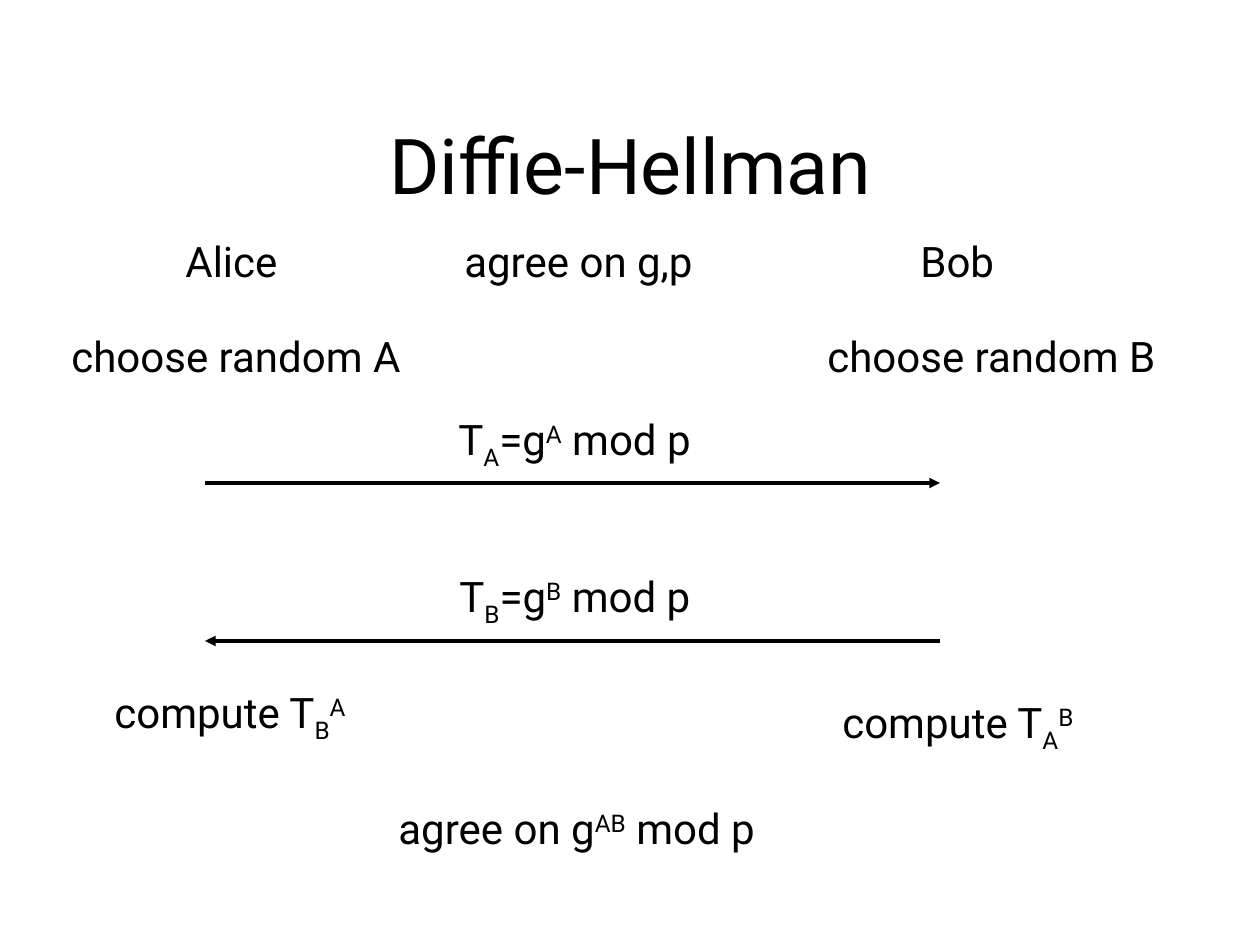
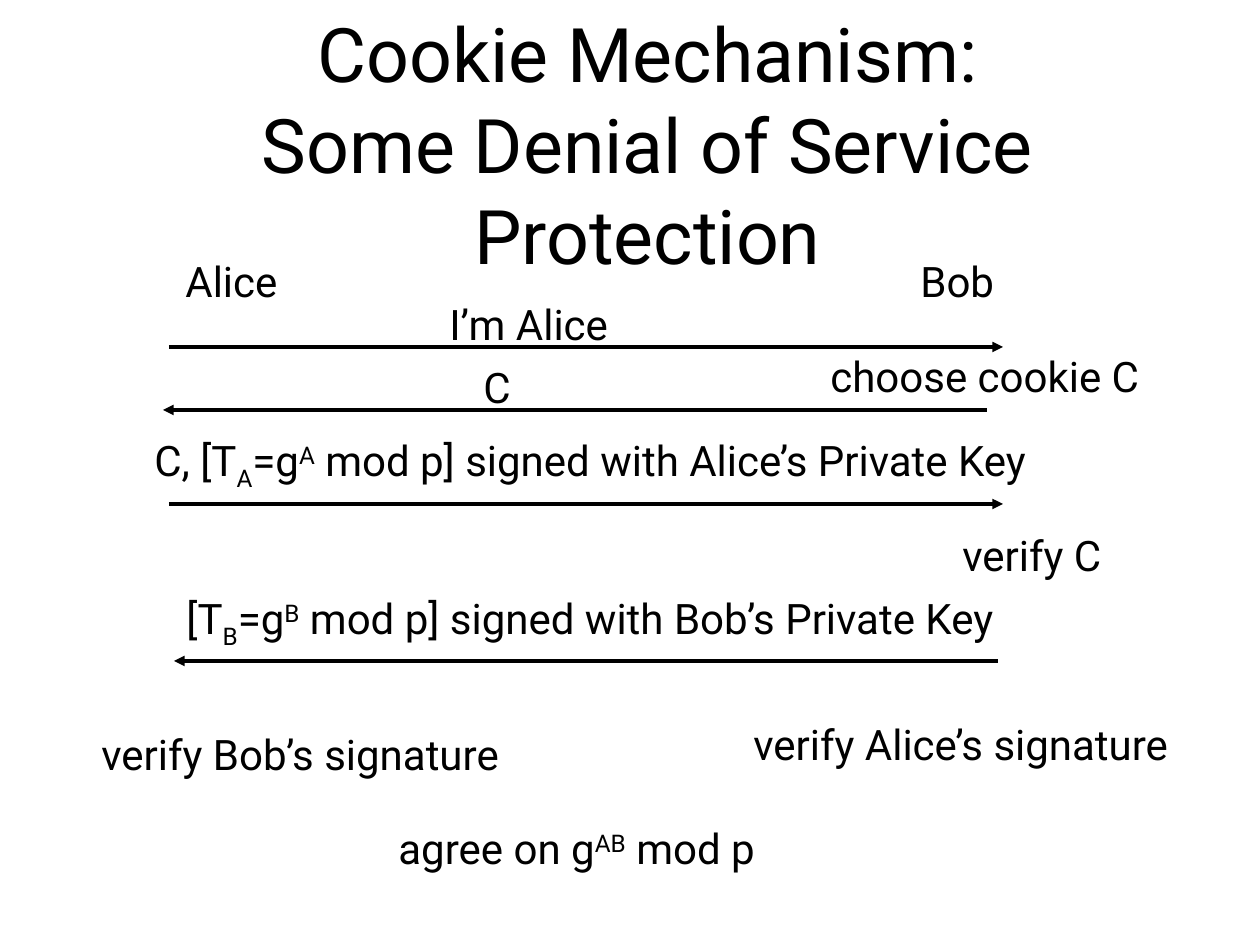
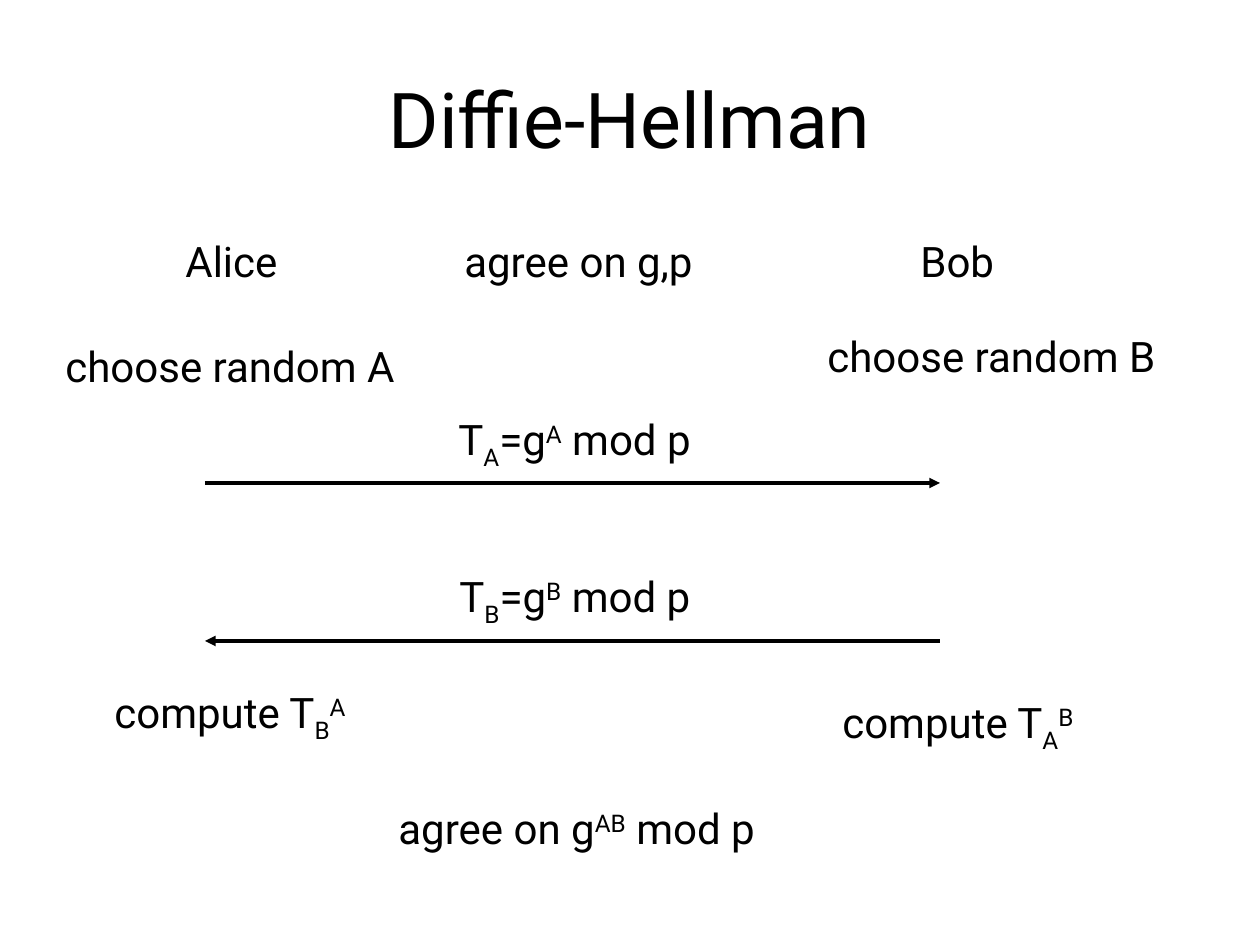
"""Build three slides on the Diffie-Hellman key exchange."""
from lxml import etree
from pptx import Presentation, util as u
from pptx.dml.color import RGBColor
from pptx.enum import shapes, text
from pptx.oxml.ns import qn

PX = u.Inches(1) // 126
INK = "000000"
FONT = "Roboto"
BODY_SIZE = 24
LINE_HEIGHT, SUBSCRIPT_LINE_HEIGHT = 64, 71
BASELINES = {"_": "-25000", "^": "30000"}

SHARED_SECRET = ["agree on g", "^AB", " mod p"]
PUBLIC_A = ["T", "_A", "=g", "^A", " mod p"]
PUBLIC_B = ["T", "_B", "=g", "^B", " mod p"]
SIGNED_A = ["C, [", *PUBLIC_A, "] signed with Alice’s Private Key"]
SIGNED_B = ["[", *PUBLIC_B, "] signed with Bob’s Private Key"]


def parties(top):
    return [(173, top, 118, ["Alice"]), (908, top, 105, ["Bob"])]


EXCHANGE_LABELS = [
    *parties(229),
    (452, 229, 276, ["agree on g,p"]),
    (815, 324, 373, ["choose random B"]),
    (446, 407, 268, PUBLIC_A),
    (447, 564, 268, PUBLIC_B),
    (102, 680, 267, ["compute T", "_B", "^A"]),
    (830, 690, 267, ["compute T", "_A", "^B"]),
    (386, 796, 408, SHARED_SECRET),
]
EXCHANGE_ARROWS = [(205, 940, 483), (940, 205, 641)]

COOKIE_LABELS = [
    *parties(249),
    (437, 292, 190, ["I’m Alice"]),
    (471, 355, 52, ["C"]),
    (818, 344, 343, ["choose cookie C"]),
    (142, 428, 945, SIGNED_A),
    (950, 523, 173, ["verify C"]),
    (174, 586, 882, SIGNED_B),
    (89, 722, 451, ["verify Bob’s signature"]),
    (741, 712, 465, ["verify Alice’s signature"]),
    (386, 816, 408, SHARED_SECRET),
]
COOKIE_ARROWS = [(169, 1003, 347), (987, 163, 410),
                 (169, 1003, 504), (998, 174, 661)]

SLIDES = [
    {"title": "Diffie-Hellman", "size": 44, "box": (95, 84, 1071, 158),
     "labels": EXCHANGE_LABELS + [(59, 324, 372, ["choose random A"])],
     "arrows": EXCHANGE_ARROWS},
    {"title": "Cookie Mechanism:\vSome Denial of Service Protection",
     "size": 43, "box": (73, 0, 1149, 286),
     "labels": COOKIE_LABELS, "arrows": COOKIE_ARROWS},
    {"title": "Diffie-Hellman", "size": 44, "box": (63, 38, 1134, 158),
     "labels": EXCHANGE_LABELS + [(53, 334, 372, ["choose random A"])],
     "arrows": EXCHANGE_ARROWS},
]


def color(value):
    return RGBColor.from_string(value)


def add_run(paragraph, content, size):
    run = paragraph.add_run()
    baseline = BASELINES.get(content[0])
    run.text = content[1:] if baseline else content
    run.font.name = FONT
    run.font.size = u.Pt(size)
    run.font.color.rgb = color(INK)
    if baseline:
        run._r.get_or_add_rPr().set("baseline", baseline)


def add_text(slide, box, size, align):
    shape = slide.shapes.add_textbox(*(length * PX for length in box))
    paragraph = shape.text_frame.paragraphs[0]
    paragraph.alignment = align
    paragraph.line_spacing = 1.01
    return shape.text_frame, paragraph


def add_title(slide, title, size, box):
    frame, paragraph = add_text(slide, box, size, text.PP_ALIGN.CENTER)
    frame.word_wrap = True
    frame.vertical_anchor = text.MSO_ANCHOR.MIDDLE
    for index, line in enumerate(title.split("\v")):
        if index:
            paragraph.add_line_break()
        add_run(paragraph, line, size)


def add_label(slide, left, top, width, parts):
    has_subscript = any(part.startswith("_") for part in parts)
    height = SUBSCRIPT_LINE_HEIGHT if has_subscript else LINE_HEIGHT
    frame, paragraph = add_text(slide, (left, top, width, height),
                                BODY_SIZE, text.PP_ALIGN.LEFT)
    frame.word_wrap = False
    frame.auto_size = text.MSO_AUTO_SIZE.SHAPE_TO_FIT_TEXT
    for part in parts:
        add_run(paragraph, part, BODY_SIZE)


def add_arrow(slide, start, end, y):
    arrow = slide.shapes.add_connector(
        shapes.MSO_CONNECTOR.STRAIGHT, start * PX, y * PX, end * PX, y * PX)
    arrow.line.color.rgb = color(INK)
    arrow.line.width = u.Pt(2)
    etree.SubElement(arrow.line._get_or_add_ln(), qn("a:tailEnd"), type="triangle")
    etree.SubElement(arrow._element.spPr, qn("a:effectLst"))


def main():
    presentation = Presentation()
    presentation.slide_width = u.Inches(10)
    presentation.slide_height = u.Inches(7.5)
    for content in SLIDES:
        slide = presentation.slides.add_slide(presentation.slide_layouts[6])
        add_title(slide, content["title"], content["size"], content["box"])
        for label in content["labels"]:
            add_label(slide, *label)
        for arrow in content["arrows"]:
            add_arrow(slide, *arrow)
    presentation.save("out.pptx")


if __name__ == "__main__":
    main()
